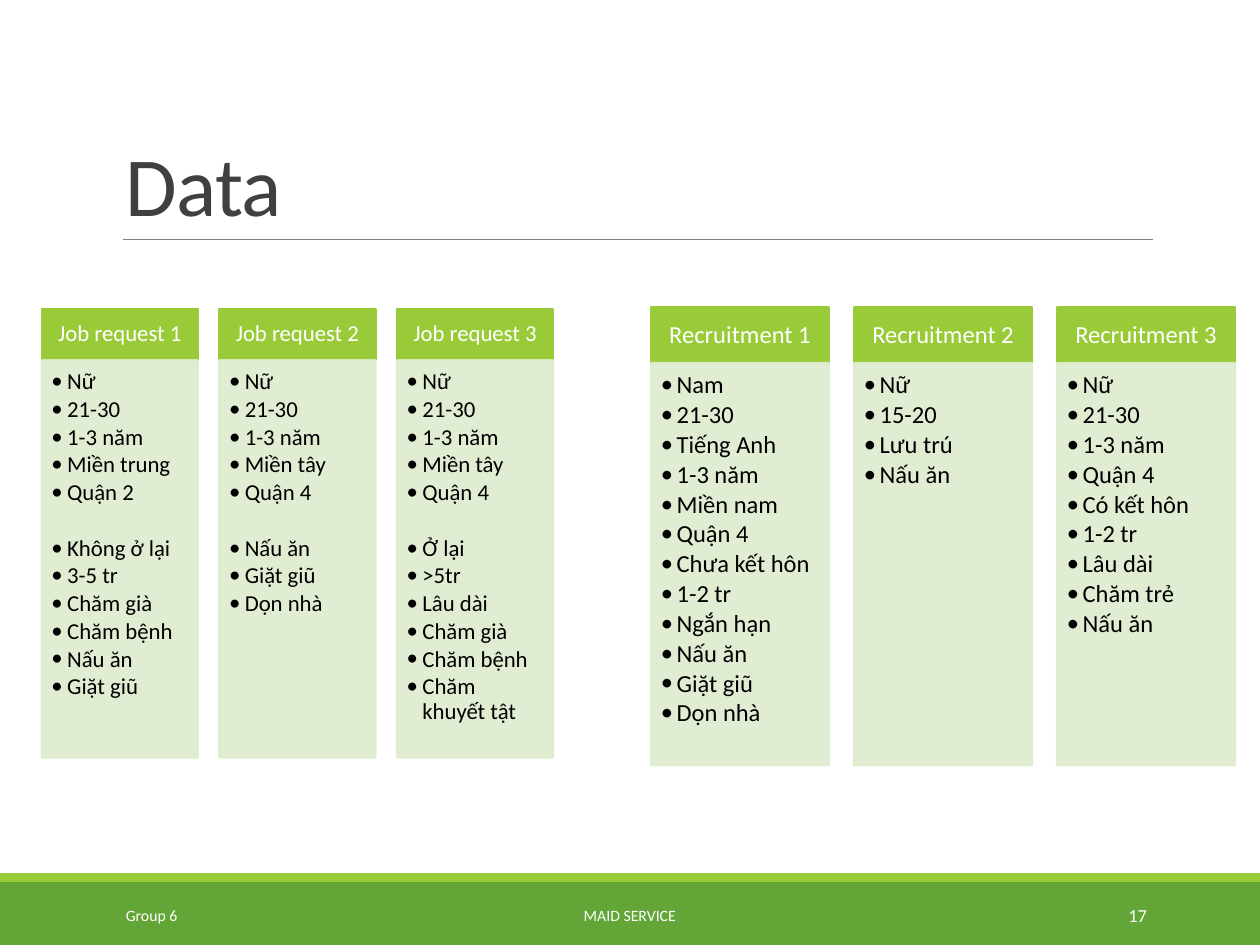
from pptx import Presentation
from pptx.dml.color import RGBColor
from pptx.enum.shapes import MSO_CONNECTOR as Connector, MSO_SHAPE as Shape
from pptx.enum.text import MSO_ANCHOR as Anchor, PP_ALIGN as Align
from pptx.oxml.ns import qn
from pptx.util import Pt
from lxml.etree import SubElement

COLORS = {
    "green": "63A537", "lime": "99CB38", "pale": "DEECCE", "rule": "808080",
    "title": "404040", "black": "000000", "white": "FFFFFF",
}

# Each column holds one or more groups of items, set apart by a line's height
JOB_REQUESTS = {
    "Job request 1": [
        ["Nữ", "21-30", "1-3 năm", "Miền trung", "Quận 2"],
        ["Không ở lại", "3-5 tr", "Chăm già", "Chăm bệnh", "Nấu ăn", "Giặt giũ"],
    ],
    "Job request 2": [
        ["Nữ", "21-30", "1-3 năm", "Miền tây", "Quận 4"],
        ["Nấu ăn", "Giặt giũ", "Dọn nhà"],
    ],
    "Job request 3": [
        ["Nữ", "21-30", "1-3 năm", "Miền tây", "Quận 4"],
        ["Ở lại", ">5tr", "Lâu dài", "Chăm già", "Chăm bệnh", "Chăm khuyết tật"],
    ],
}
RECRUITMENTS = {
    "Recruitment 1": [
        ["Nam", "21-30", "Tiếng Anh", "1-3 năm", "Miền nam", "Quận 4",
         "Chưa kết hôn", "1-2 tr", "Ngắn hạn", "Nấu ăn", "Giặt giũ", "Dọn nhà"],
    ],
    "Recruitment 2": [["Nữ", "15-20", "Lưu trú", "Nấu ăn"]],
    "Recruitment 3": [
        ["Nữ", "21-30", "1-3 năm", "Quận 4", "Có kết hôn", "1-2 tr",
         "Lâu dài", "Chăm trẻ", "Nấu ăn"],
    ],
}


def rgb(name):
    return RGBColor.from_string(COLORS[name])


def write(paragraph, text, size=13, color="white", align=Align.LEFT,
          leading=None, after=0, tracking=None, bullet=False):
    """Put formatted text into a paragraph."""
    paragraph.alignment = align
    paragraph.space_after = Pt(after)
    if leading:
        paragraph.line_spacing = leading
    run = paragraph.add_run()
    run.text = text
    run.font.name = "Calibri"
    run.font.size = Pt(size)
    run.font.color.rgb = rgb(color)
    if tracking:
        run.font._element.set("spc", str(tracking))
    if bullet:
        properties = paragraph._p.get_or_add_pPr()
        properties.set("marL", str(Pt(9)))
        properties.set("indent", str(Pt(-9)))
        SubElement(properties, qn("a:buFont"), typeface="Calibri")
        SubElement(properties, qn("a:buChar"), char="•")


def set_frame(frame, anchor, insets):
    frame.word_wrap = True
    frame.vertical_anchor = anchor
    (frame.margin_left, frame.margin_top,
     frame.margin_right, frame.margin_bottom) = map(Pt, insets)


def add_label(slide, box, text, anchor=Anchor.MIDDLE, **text_format):
    label = slide.shapes.add_textbox(*map(Pt, box))
    set_frame(label.text_frame, anchor, (7.2, 3.6, 7.2, 3.6))
    write(label.text_frame.paragraphs[0], text, **text_format)


def add_block(slide, box, color, outlined=False, opacity=None):
    block = slide.shapes.add_shape(Shape.RECTANGLE, *map(Pt, box))
    block.shadow.inherit = False
    block.fill.solid()
    block.fill.fore_color.rgb = rgb(color)
    if outlined:
        block.line.color.rgb = rgb(color)
        block.line.width = Pt(1.25)
    else:
        block.line.fill.background()
    if opacity:
        for tint in block.element.spPr.iter(qn("a:srgbClr")):
            SubElement(tint, qn("a:alpha"), val=str(opacity * 1000))
    return block.text_frame


def add_rule(slide, left, right, y):
    rule = slide.shapes.add_connector(
        Connector.STRAIGHT, Pt(left), Pt(y), Pt(right), Pt(y))
    rule.line.color.rgb = rgb("rule")
    rule.line.width = Pt(0.5)
    SubElement(rule.element.spPr, qn("a:effectLst"))


def add_column(slide, left, top, width, head_height, body_height, size,
               heading, groups):
    side = size * 0.55
    # Heading
    head = add_block(slide, (left, top, width, head_height), "lime", outlined=True)
    set_frame(head, Anchor.MIDDLE, (side, 4.3, side, 4.3))
    write(head.paragraphs[0], heading, size=size, align=Align.CENTER, leading=0.9)

    # Bulleted items
    body = add_block(slide, (left, top + head_height, width, body_height),
                     "pale", outlined=True, opacity=90)
    set_frame(body, Anchor.TOP, (5.6, 5.6, side, 8.3))
    spacing = size * 0.135
    group_gap = spacing + size * 1.235
    paragraph = body.paragraphs[0]
    for group in groups:
        for item in group:
            if paragraph.runs:
                paragraph = body.add_paragraph()
            ends_group = item == group[-1] and group is not groups[-1]
            write(paragraph, item, size=size, color="black", leading=0.9,
                  after=group_gap if ends_group else spacing, bullet=True)


def add_columns(slide, columns, left, pitch, **column_format):
    for index, (heading, groups) in enumerate(columns.items()):
        add_column(slide, left + index * pitch, heading=heading, groups=groups,
                   **column_format)


def main():
    deck = Presentation()
    deck.slide_width, deck.slide_height = Pt(720), Pt(540)
    slide = deck.slides.add_slide(deck.slide_layouts[6])

    # Footer bands and title rule
    add_block(slide, (0, 504, 720, 36), "green")
    add_block(slide, (0, 499, 720, 5), "lime")
    add_rule(slide, 70.5, 658.8, 136.8)

    # Title and footer
    add_label(slide, (64.8, 22.3, 594, 114.5), "Data", anchor=Anchor.BOTTOM,
              size=48, color="title", leading=0.85, tracking=-50)
    add_label(slide, (64.8, 508.5, 146, 28.8), "Group 6", size=9)
    add_label(slide, (217.4, 508.5, 285, 28.8), "MAID SERVICE", size=9,
              align=Align.CENTER)
    add_label(slide, (584.6, 508.5, 77.8, 28.8), "17", size=10.5,
              align=Align.RIGHT)

    # Two sets of columns
    add_columns(slide, JOB_REQUESTS, left=23.8, pitch=101.5, top=176.4,
                width=89.3, head_height=29.5, body_height=227, size=13)
    add_columns(slide, RECRUITMENTS, left=372, pitch=116, top=175.7,
                width=101.8, head_height=31.7, body_height=230, size=14)

    deck.save("out.pptx")


if __name__ == "__main__":
    main()
